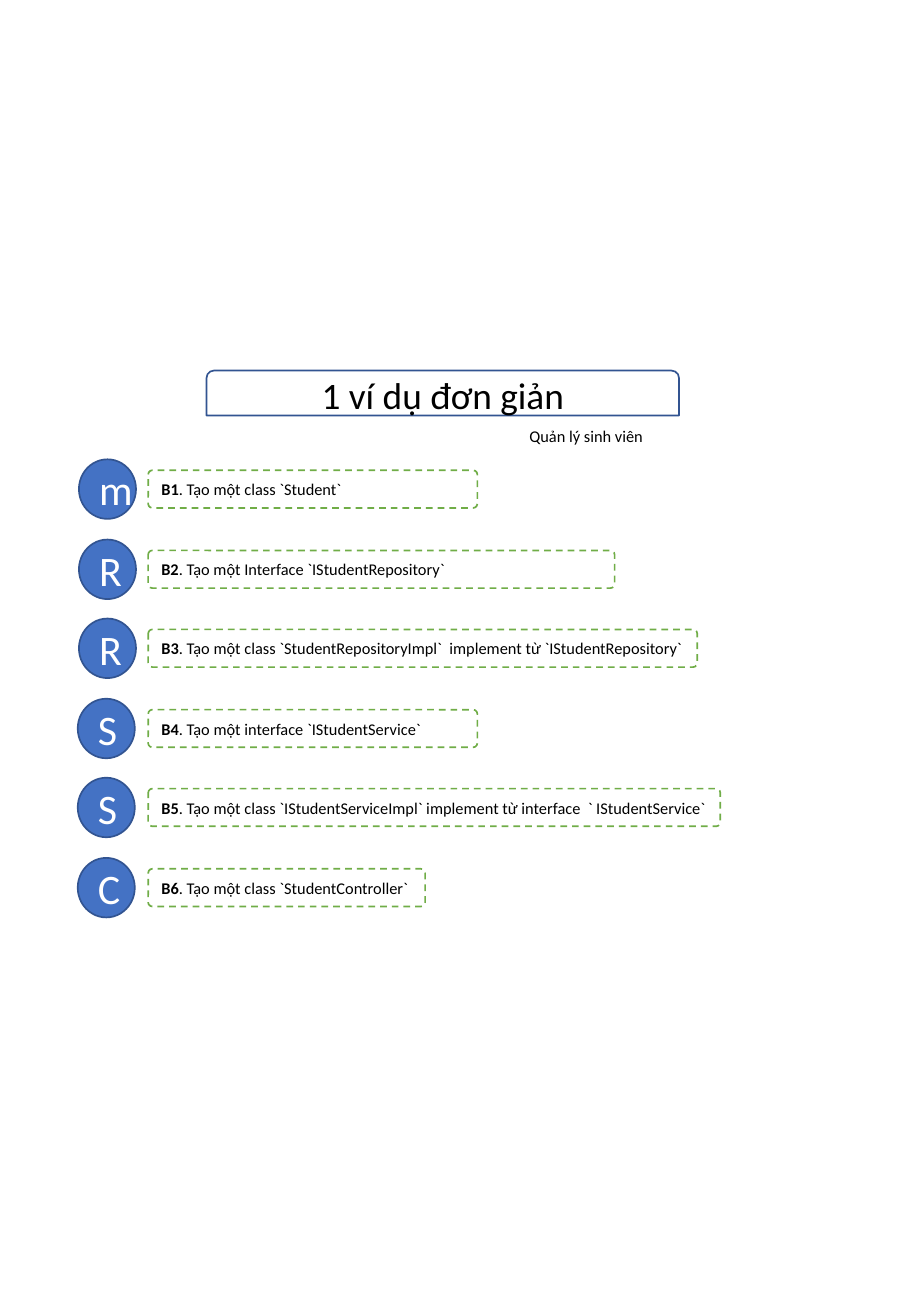
import pptx
import pptx.dml.color
import pptx.enum.dml
import pptx.enum.shapes
import pptx.enum.text
import pptx.util

SCALE = 9144  # EMU per px, 100 px to the inch
SHAPES = pptx.enum.shapes.MSO_SHAPE
ALIGN = pptx.enum.text.PP_ALIGN
BLUE, NAVY, GREEN, WHITE, BLACK = "4472C4", "325491", "70AD47", "FFFFFF", "000000"
BODY_SIZE, LETTER_SIZE, TITLE_SIZE = 9.7, 24.9, 22.1

FIRST_TOP, LAST_TOP = 378, 706
# circle left, letter, box width, step label, step text
STEPS = [
    (65, "m", 271, "B1", ". Tạo một class `Student`"),
    (65, "R", 384, "B2", ". Tạo một Interface `IStudentRepository`"),
    (65, "R", 452, "B3", ". Tạo một class `StudentRepositoryImpl`  implement từ `IStudentRepository`"),
    (64, "S", 271, "B4", ". Tạo một interface `IStudentService`"),
    (64, "S", 471, "B5", ". Tạo một class `IStudentServiceImpl` implement từ interface  ` IStudentService`"),
    (64, "C", 228, "B6", ". Tạo một class `StudentController`"),
]


def px(*lengths):
    return [pptx.util.Emu(length * SCALE) for length in lengths]


def color(value):
    return pptx.dml.color.RGBColor.from_string(value)


def add_span(para, text, size, ink, bold=False):
    span = para.add_run()
    span.text = text
    formats = {"name": "Calibri", "size": pptx.util.Pt(size), "bold": bold}
    for name, value in formats.items():
        setattr(span.font, name, value)
    span.font.color.rgb = color(ink)


def add_outlined(page, kind, place, fill, line, align):
    """Add a preset shape and return it with its empty first paragraph."""
    shape = page.shapes.add_shape(kind, *px(*place))
    shape.shadow.inherit = False
    if fill:
        shape.fill.solid()
        shape.fill.fore_color.rgb = color(fill)
    else:
        shape.fill.background()
    shape.line.color.rgb = color(line)
    shape.line.width = pptx.util.Pt(1)
    frame = shape.text_frame
    formats = {"word_wrap": True, "vertical_anchor": pptx.enum.text.MSO_ANCHOR.MIDDLE}
    for name, value in formats.items():
        setattr(frame, name, value)
    para = frame.paragraphs[0]
    para.alignment = align
    return shape, para


def add_title(page):
    place = (170, 305, 389, 37)
    para = add_outlined(page, SHAPES.ROUND_2_SAME_RECTANGLE, place, None, NAVY, ALIGN.CENTER)[1]
    add_span(para, "1 ví dụ đơn giản", TITLE_SIZE, BLACK)


def add_subtitle(page):
    box = page.shapes.add_textbox(*px(426, 346, 133, 26))
    box.text_frame.word_wrap = True
    add_span(box.text_frame.paragraphs[0], "Quản lý sinh viên", BODY_SIZE, BLACK)


def add_step(page, top, left, letter, width, label, text):
    # Layer letter in a circle
    para = add_outlined(page, SHAPES.OVAL, (left, top, 47, 49), BLUE, NAVY, ALIGN.CENTER)[1]
    add_span(para, letter, LETTER_SIZE, WHITE)
    # Dashed box with the instruction
    place = (122, top + 9, width, 31)
    box, para = add_outlined(page, SHAPES.ROUNDED_RECTANGLE, place, WHITE, GREEN, ALIGN.LEFT)
    box.adjustments[0] = 0.11
    box.line.dash_style = pptx.enum.dml.MSO_LINE.DASH
    add_span(para, label, BODY_SIZE, BLACK, bold=True)
    add_span(para, text, BODY_SIZE, BLACK)


def main():
    deck = pptx.Presentation()
    deck.slide_width, deck.slide_height = px(750, 1083)
    page = deck.slides.add_slide(deck.slide_layouts[6])

    # Steps, evenly spaced from first to last
    pitch = (LAST_TOP - FIRST_TOP) / (len(STEPS) - 1)
    for index, step in enumerate(STEPS):
        add_step(page, round(FIRST_TOP + index * pitch), *step)

    # Heading
    add_title(page)
    add_subtitle(page)

    deck.save("out.pptx")


if __name__ == "__main__":
    main()
